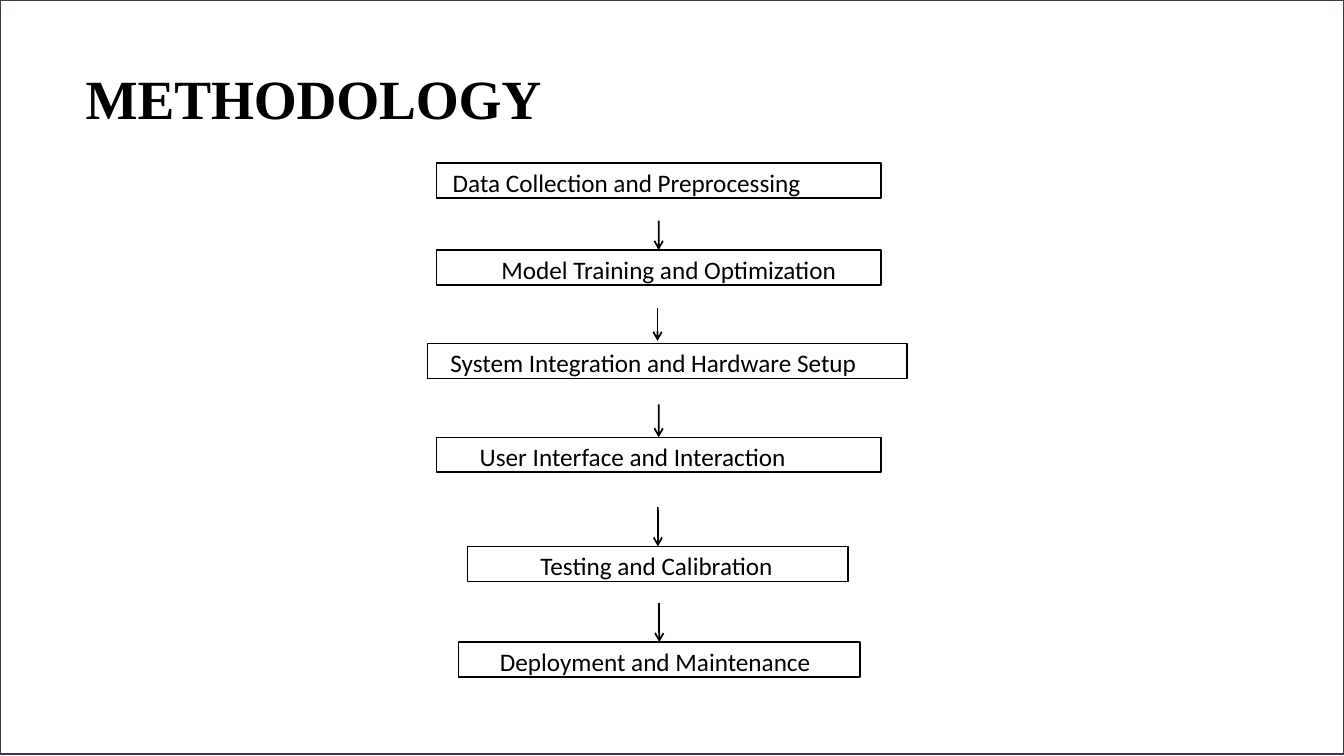
import pptx
import pptx.util
import pptx.dml.color
import pptx.enum.shapes
import pptx.enum.text
import pptx.oxml.ns
import lxml.etree
from dataclasses import dataclass
from pptx.util import Cm


@dataclass(frozen=True)
class Theme:
    ink: pptx.dml.color.RGBColor = pptx.dml.color.RGBColor(0, 0, 0)
    frame: pptx.dml.color.RGBColor = pptx.dml.color.RGBColor(0x3E, 0x34, 0x52)
    title_font: str = "Times New Roman"
    step_font: str = "Calibri"
    title_size: float = 39.5
    step_size: float = 18
    box_line: float = 1
    thick_line: float = 1.25


theme = Theme()
qn = pptx.oxml.ns.qn
Align = pptx.enum.text.PP_ALIGN
RECTANGLE = pptx.enum.shapes.MSO_SHAPE.RECTANGLE


def add_outline(page, left, top, width, height, color, weight):
    box = page.shapes.add_shape(RECTANGLE, Cm(left), Cm(top), Cm(width), Cm(height))
    box.shadow.inherit = False
    box.fill.background()
    box.line.color.rgb = color
    box.line.width = pptx.util.Pt(weight)
    return box


def write_line(box, text, font, size, align, left_inset, top_inset):
    frame = box.text_frame
    frame.word_wrap = True
    frame.auto_size = pptx.enum.text.MSO_AUTO_SIZE.NONE
    frame.vertical_anchor = pptx.enum.text.MSO_ANCHOR.TOP
    frame.margin_left, frame.margin_top = Cm(left_inset), Cm(top_inset)
    frame.margin_right = frame.margin_bottom = 0
    para = frame.paragraphs[0]
    para.alignment = align
    para.space_before = pptx.util.Pt(0)
    span = para.add_run()
    span.text = text
    span.font.name = font
    span.font.size = pptx.util.Pt(size)
    span.font.color.rgb = theme.ink
    return span


deck = pptx.Presentation()
deck.slide_width, deck.slide_height = Cm(33.87), Cm(19.05)
page = deck.slides.add_slide(deck.slide_layouts[5])

# Page frame, behind the title
page_frame = add_outline(page, 0, 0, 33.87, 19, theme.frame, theme.thick_line)
title = page.shapes.title
title.element.addprevious(page_frame.element)

# Title
title.left, title.top, title.width, title.height = Cm(2.13), Cm(1.47), Cm(11.73), Cm(1.75)
span = write_line(title, "METHODOLOGY", theme.title_font, theme.title_size,
                  Align.LEFT, 0.03, 0.16)
span.font.bold = True
span.font._element.set("spc", "-10")

# Steps: text, left, top, width, text inset, alignment, top of the arrow leading in
steps = [
    ("Data Collection and Preprocessing", 11, 4.11, 11.2, 0.41, Align.LEFT, None),
    ("Model Training and Optimization", 11, 6.3, 11.2, 0.51, Align.CENTER, 5.56),
    ("System Integration and Hardware Setup", 10.77, 8.66, 12.09, 0.58, Align.LEFT, 7.77),
    ("User Interface and Interaction", 11, 11.02, 11.2, 1.09, Align.LEFT, 10.19),
    ("Testing and Calibration", 11.79, 13.77, 9.58, 1.83, Align.LEFT, 12.78),
    ("Deployment and Maintenance", 11.56, 16.18, 10.11, 1.04, Align.LEFT, 15.19),
]
flow_x = 16.57
for text, left, top, width, inset, align, arrow_top in steps:
    box = add_outline(page, left, top, width, 0.88, theme.ink, theme.box_line)
    write_line(box, text, theme.step_font, theme.step_size, align, inset, 0.1)
    if arrow_top is None:
        continue

    # Arrow into the step; the widest box is off the flow axis, so it is not joined
    centre = left + width / 2
    joined = abs(centre - flow_x) < 0.1
    x = centre if joined else flow_x
    arrow = page.shapes.add_connector(pptx.enum.shapes.MSO_CONNECTOR.STRAIGHT,
                                      Cm(x), Cm(arrow_top), Cm(x), Cm(top - 0.07))
    if joined:
        arrow.end_connect(box, 0)
    arrow.line.color.rgb = theme.ink
    arrow.line.width = pptx.util.Pt(theme.thick_line)
    lxml.etree.SubElement(arrow.line._get_or_add_ln(), qn("a:tailEnd"),
                          type="arrow", w="med", len="med")
    lxml.etree.SubElement(arrow.element.spPr, qn("a:effectLst"))

deck.save("out.pptx")
